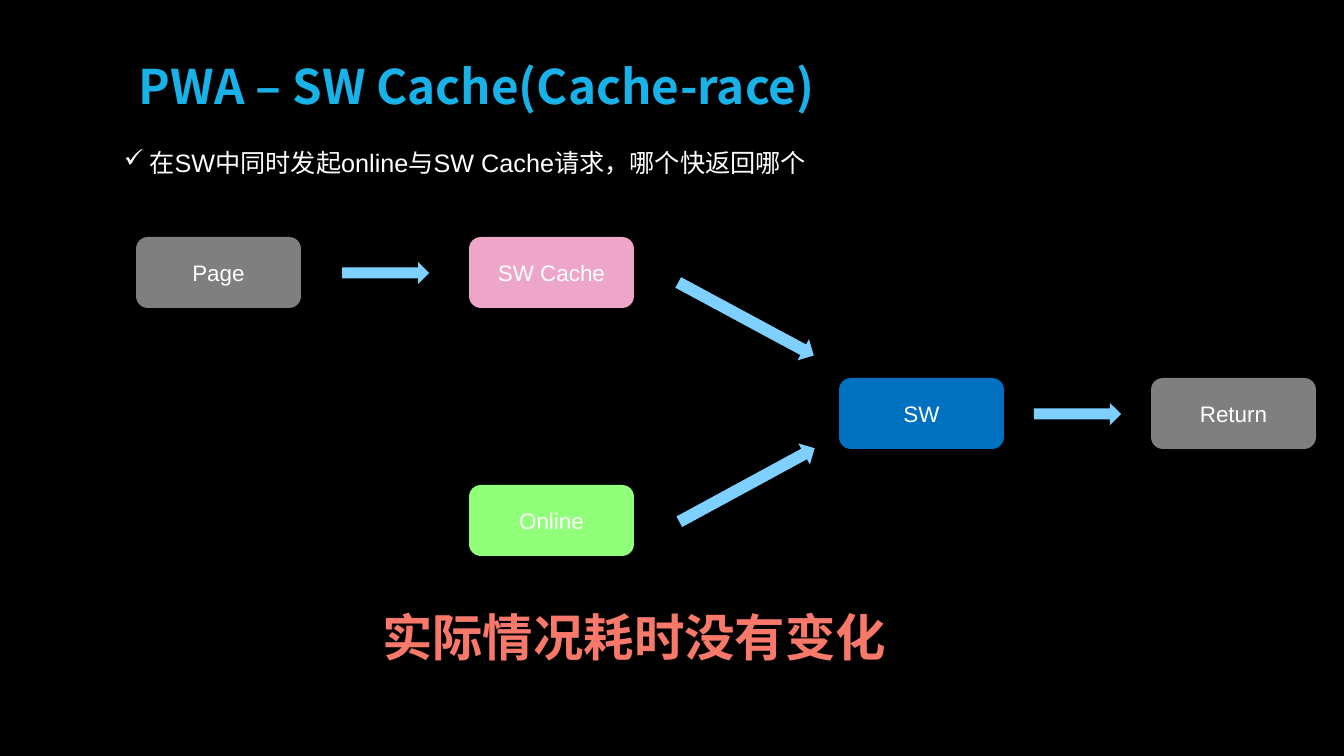
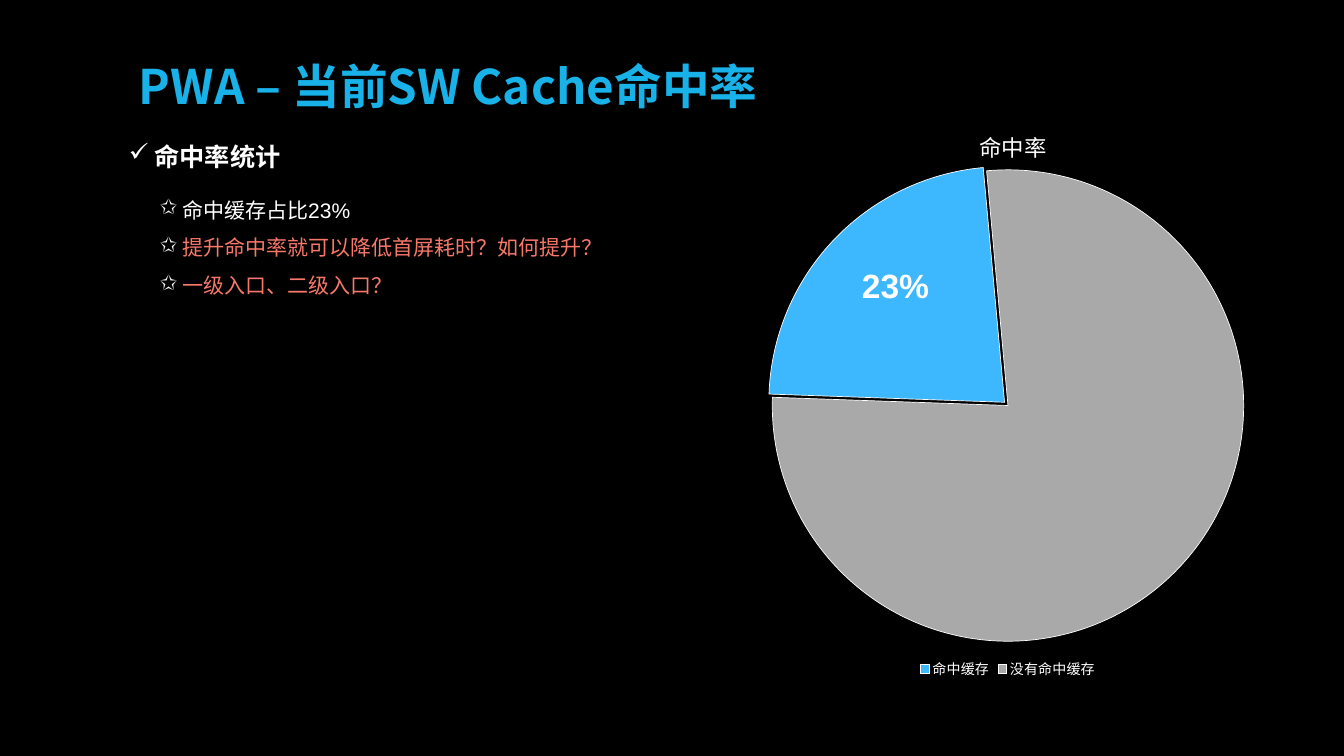
"""Build two slides on the service worker cache: the race flow and the hit rate."""
from dataclasses import dataclass

from lxml import etree
from pptx import Presentation
from pptx.chart.data import CategoryChartData
from pptx.dml.color import RGBColor
from pptx.enum import chart as charts, shapes, text
from pptx.oxml.ns import qn
from pptx.util import Emu, Pt

PX = 914400 / 50.4


@dataclass(frozen=True)
class Theme:
    background: str = "000000"
    white: str = "FFFFFF"
    title: str = "18B2E8"
    accent: str = "F8786A"
    arrow: str = "7DD0FF"
    grey: str = "7F7F7F"
    pink: str = "EDA6CA"
    green: str = "90FF7A"
    blue: str = "0070C0"
    hit: str = "3DB8FF"
    miss: str = "A9A9A9"
    title_font: str = "Noto Sans CJK SC"
    body_font: str = "Arial"
    title_size: int = 68
    verdict_size: int = 72
    share_size: int = 48
    heading_size: int = 36
    node_size: int = 32
    item_size: int = 30
    legend_size: int = 20


THEME = Theme()
TITLE_BOX = (136, 54, 1072, 72)
NODE_SIZE = (165, 71)
TIGHT = 3

RACE = {
    "title": "PWA – SW Cache(Cache-race)",
    "heading": " 在SW中同时发起online与SW Cache请求，哪个快返回哪个",
    "heading_box": (119, 145, 824, 36),
    "nodes": [
        ("Page", 136, 237, THEME.grey),
        ("SW Cache", 469, 237, THEME.pink),
        ("Online", 469, 485, THEME.green),
        ("SW", 839, 378, THEME.blue),
        ("Return", 1151, 378, THEME.grey),
    ],
    "arrows": [
        ((342, 262, 87, 22), 0),
        ((1034, 403, 87, 22), 0),
        ((669, 307, 154, 24), 28.3),
        ((670, 473, 154, 24), 331.5),
    ],
    "verdict": "实际情况耗时没有变化",
    "verdict_box": (325, 603, 618, 67),
}

HIT_RATE = {
    "title": "PWA – 当前SW Cache命中率",
    "heading": " 命中率统计",
    "heading_box": (124, 139, 476, 36),
    "items": [
        (" 命中缓存占比23%", THEME.white),
        (" 提升命中率就可以降低首屏耗时？如何提升？", THEME.accent),
        (" 一级入口、二级入口？", THEME.accent),
    ],
    "items_box": (155, 182, 639, 114),
    "chart_title": "命中率",
    "slices": [("命中缓存", 23, THEME.hit), ("没有命中缓存", 77, THEME.miss)],
    "chart_box": (600, 100, 816, 582),
    "start_angle": 272,
    "share": "23%",
    "share_box": (851, 262, 89, 46),
}


def px(*lengths):
    return [Emu(round(length * PX)) for length in lengths]


def style_font(font, size, color=THEME.white, bold=False, name=THEME.body_font):
    font.size = Pt(size)
    font.name = name
    font.bold = bold
    font.color.rgb = RGBColor.from_string(color)


def tighten(frame):
    inset, = px(TIGHT)
    frame.margin_left = frame.margin_right = inset
    frame.margin_top = frame.margin_bottom = inset


def add_text_box(slide, box):
    frame = slide.shapes.add_textbox(*px(*box)).text_frame
    frame.word_wrap = True
    return frame


def add_centred(frame, content, size, color=THEME.white, bold=False):
    tighten(frame)
    frame.vertical_anchor = text.MSO_ANCHOR.MIDDLE
    frame.text = content
    paragraph = frame.paragraphs[0]
    paragraph.alignment = text.PP_ALIGN.CENTER
    style_font(paragraph.runs[0].font, size, color, bold)


def add_bullets(slide, box, items, symbol, indent, size, spacing=None, bold=False):
    frame = add_text_box(slide, box)
    frame.text = "\n".join(content for content, _ in items)
    hang, = px(indent)
    for paragraph, (_, color) in zip(frame.paragraphs, items):
        properties = paragraph._p.get_or_add_pPr()
        properties.set("marL", str(hang))
        properties.set("indent", str(-hang))
        bullet_color = etree.SubElement(properties, qn("a:buClr"))
        etree.SubElement(bullet_color, qn("a:srgbClr"), val=THEME.white)
        etree.SubElement(properties, qn("a:buChar"), char=symbol)
        if spacing:
            paragraph.line_spacing = spacing
        style_font(paragraph.runs[0].font, size, color, bold)


def add_filled_shape(slide, preset, box, color):
    shape = slide.shapes.add_shape(preset, *px(*box))
    shape.shadow.inherit = False
    shape.fill.solid()
    shape.fill.fore_color.rgb = RGBColor.from_string(color)
    shape.line.fill.background()
    return shape


def add_titled_slide(presentation, content):
    slide = presentation.slides.add_slide(presentation.slide_layouts[6])
    slide.background.fill.solid()
    slide.background.fill.fore_color.rgb = RGBColor.from_string(THEME.background)
    frame = add_text_box(slide, TITLE_BOX)
    tighten(frame)
    frame.text = content["title"]
    style_font(frame.paragraphs[0].runs[0].font, THEME.title_size, THEME.title,
               True, THEME.title_font)
    return slide


def place_in_chart(element, index, **fractions):
    for layout in element.findall(qn("c:layout")):
        element.remove(layout)
    layout = etree.Element(qn("c:layout"))
    manual = etree.SubElement(layout, qn("c:manualLayout"))
    if "w" in fractions:
        etree.SubElement(manual, qn("c:layoutTarget"), val="inner")
    for axis in "xy":
        etree.SubElement(manual, qn(f"c:{axis}Mode"), val="edge")
    for key, value in fractions.items():
        etree.SubElement(manual, qn(f"c:{key}"), val=str(value))
    element.insert(index, layout)


def add_pie(slide, content):
    data = CategoryChartData()
    data.categories = [name for name, _, _ in content["slices"]]
    data.add_series("Series 1", [value for _, value, _ in content["slices"]])
    chart = slide.shapes.add_chart(
        charts.XL_CHART_TYPE.PIE, *px(*content["chart_box"]), data).chart
    style_font(chart.font, 10)

    chart.has_title = True
    chart.chart_title.text_frame.text = content["chart_title"]
    title_run = chart.chart_title.text_frame.paragraphs[0].runs[0]
    style_font(title_run.font, THEME.node_size)
    place_in_chart(chart.chart_title.element, 1, x=0.46, y=0.04)

    chart.has_legend = True
    chart.legend.position = charts.XL_LEGEND_POSITION.BOTTOM
    chart.legend.include_in_layout = False
    style_font(chart.legend.font, THEME.legend_size)

    plot = chart.plots[0]
    plot.vary_by_categories = True
    for index, (_, _, color) in enumerate(content["slices"]):
        slice_format = plot.series[0].points[index].format
        slice_format.fill.solid()
        slice_format.fill.fore_color.rgb = RGBColor.from_string(color)
        slice_format.line.color.rgb = RGBColor.from_string(THEME.white)
        slice_format.line.width = Pt(1)

    hit_point = chart.element.find(".//" + qn("c:dPt"))
    explosion = etree.Element(qn("c:explosion"), val="2")
    hit_point.find(qn("c:spPr")).addprevious(explosion)
    pie = chart.element.find(".//" + qn("c:pieChart"))
    for angle in pie.findall(qn("c:firstSliceAng")):
        pie.remove(angle)
    etree.SubElement(pie, qn("c:firstSliceAng"), val=str(content["start_angle"]))
    place_in_chart(pie.getparent(), 0, x=0.21, y=0.12, w=0.58, h=0.81)


def build_race(presentation, content):
    slide = add_titled_slide(presentation, content)
    add_bullets(slide, content["heading_box"], [(content["heading"], THEME.white)],
                "✓", 19, THEME.heading_size)
    for label, left, top, color in content["nodes"]:
        node = add_filled_shape(slide, shapes.MSO_SHAPE.ROUNDED_RECTANGLE,
                                (left, top, *NODE_SIZE), color)
        add_centred(node.text_frame, label, THEME.node_size)
    for box, angle in content["arrows"]:
        arrow = add_filled_shape(slide, shapes.MSO_SHAPE.RIGHT_ARROW, box, THEME.arrow)
        arrow.rotation = angle
    add_centred(add_text_box(slide, content["verdict_box"]), content["verdict"],
                THEME.verdict_size, THEME.accent, True)


def build_hit_rate(presentation, content):
    slide = add_titled_slide(presentation, content)
    add_bullets(slide, content["heading_box"], [(content["heading"], THEME.white)],
                "✓", 19, THEME.heading_size, bold=True)
    add_pie(slide, content)
    add_bullets(slide, content["items_box"], content["items"], "✩", 16,
                THEME.item_size, spacing=1.5)
    add_centred(add_text_box(slide, content["share_box"]), content["share"],
                THEME.share_size, bold=True)


def main():
    presentation = Presentation()
    presentation.slide_width, presentation.slide_height = px(1344, 756)
    build_race(presentation, RACE)
    build_hit_rate(presentation, HIT_RATE)
    presentation.save("out.pptx")


if __name__ == "__main__":
    main()
